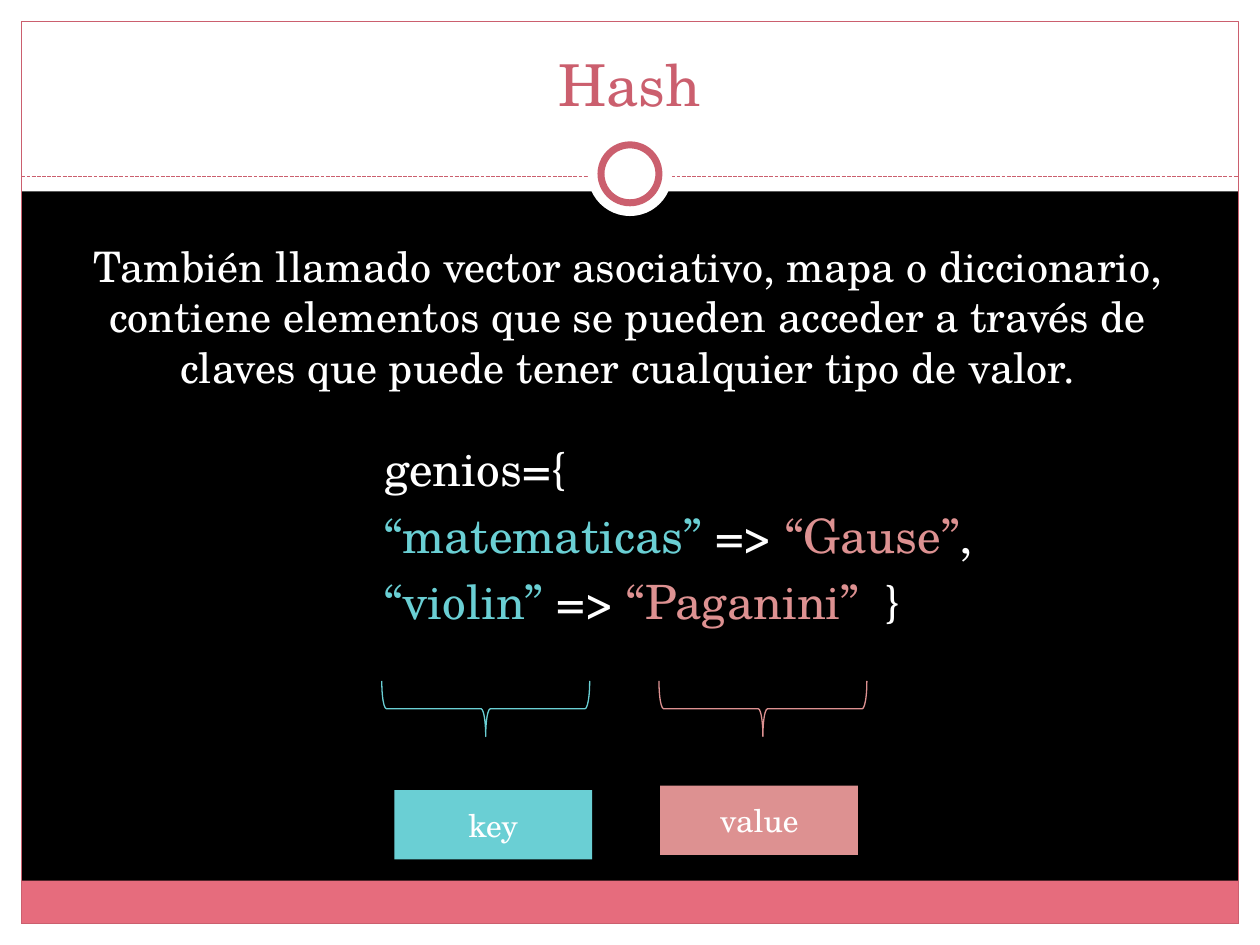
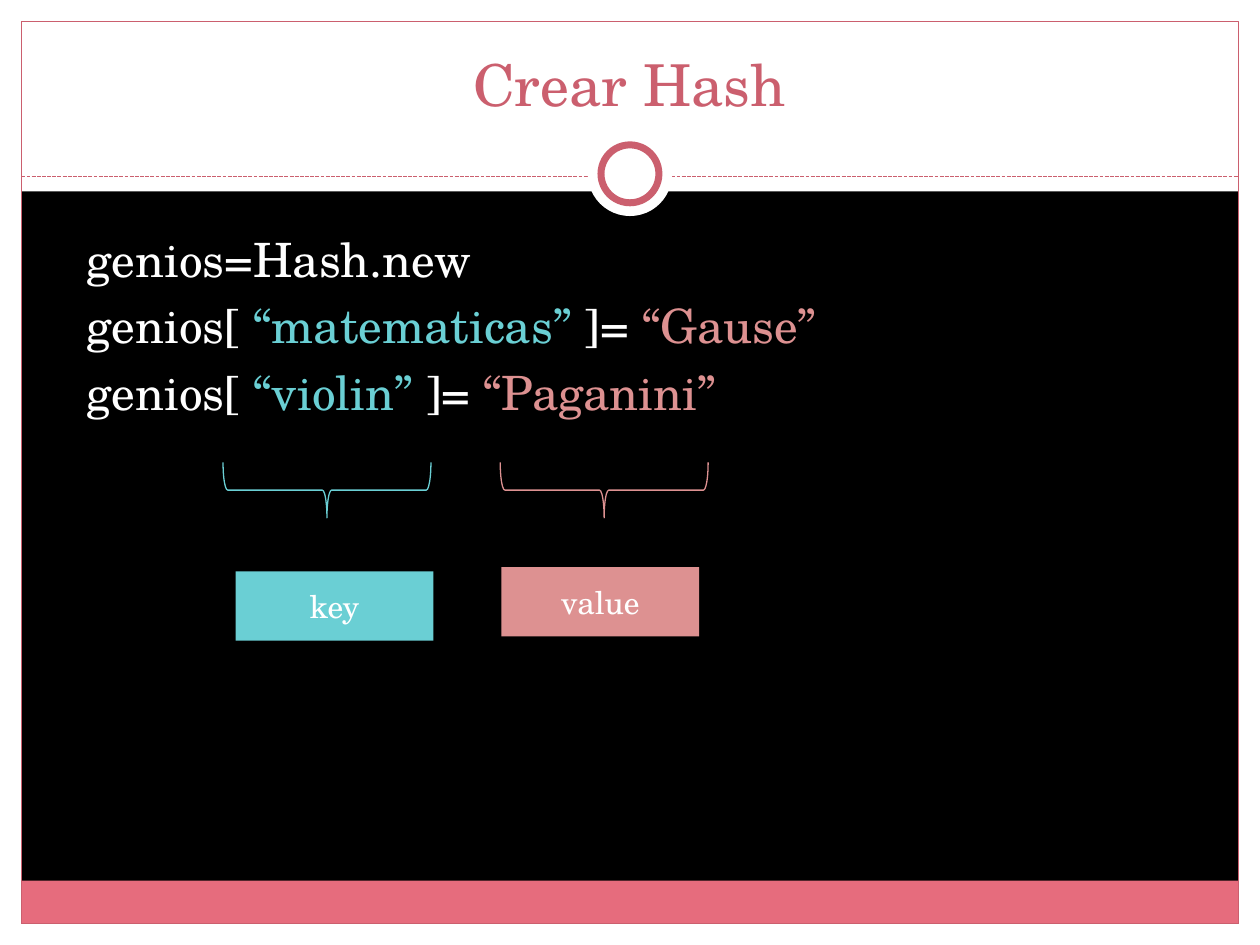
from lxml.etree import SubElement
from pptx import Presentation
from pptx.dml.color import RGBColor
from pptx.enum.dml import MSO_LINE
from pptx.enum.shapes import MSO_CONNECTOR, MSO_SHAPE
from pptx.enum.text import MSO_ANCHOR, PP_ALIGN
from pptx.oxml.ns import qn
from pptx.util import Inches, Pt

# The grid has 100 columns and 75 rows of a tenth of an inch
COLUMNS, ROWS = 100, 75
CELL = Inches(0.1)
MARGIN = 1.7
HEADER = 15.2
RULE_ROW = 14

FONT = "TeX Gyre Schola"
WHITE, BLACK = "FFFFFF", "000000"
ROSE, BAND = "CB5F6E", "E66C7D"
KEY, VALUE = "6ACFD4", "DD9191"


def colour(hex_string):
    return RGBColor.from_string(hex_string)


def grid(*cells):
    return [round(cell * CELL) for cell in cells]


class Deck:
    """Holds the shared style and the slide being built."""

    def __init__(self):
        self.presentation = Presentation()
        self.presentation.slide_width, self.presentation.slide_height = grid(COLUMNS, ROWS)
        self.slide = None

    def new_slide(self, title):
        self.slide = self.presentation.slides.add_slide(self.presentation.slide_layouts[6])
        background = self.slide.background.fill
        background.solid()
        background.fore_color.rgb = colour(BLACK)
        self.frame()
        self.text((3.3, 2.5, 93.3, 8.3), [[(title, ROSE)]], 33,
                  PP_ALIGN.CENTER, MSO_ANCHOR.MIDDLE)

    def frame(self):
        inner = COLUMNS - 2 * MARGIN
        bottom = ROWS - MARGIN
        # White borders and header
        for box in ((0, bottom, COLUMNS, MARGIN), (0, 0, COLUMNS, HEADER),
                    (0, 0, MARGIN, ROWS), (COLUMNS - MARGIN, 0, MARGIN, ROWS)):
            self.shape(MSO_SHAPE.RECTANGLE, box, fill=WHITE)
        # Footer band, outline and dashed rule
        self.shape(MSO_SHAPE.RECTANGLE, (MARGIN, bottom - 3.4, inner, 3.4), fill=BAND)
        self.shape(MSO_SHAPE.RECTANGLE, (MARGIN, MARGIN, inner, bottom - MARGIN), line=ROSE)
        self.dashed_rule(MARGIN, COLUMNS - MARGIN, RULE_ROW)
        # Ring over the rule
        for size, line in ((6.7, None), (4.6, ROSE)):
            box = ((COLUMNS - size) / 2, 13.8 - size / 2, size, size)
            self.shape(MSO_SHAPE.OVAL, box, fill=WHITE, line=line, width=4)

    def shape(self, kind, box, fill=None, line=None, width=0.75):
        shape = self.slide.shapes.add_shape(kind, *grid(*box))
        shape.shadow.inherit = False
        if fill:
            shape.fill.solid()
            shape.fill.fore_color.rgb = colour(fill)
        else:
            shape.fill.background()
        if line:
            shape.line.color.rgb = colour(line)
            shape.line.width = Pt(width)
        else:
            shape.line.fill.background()
        return shape

    def dashed_rule(self, left, right, row):
        rule = self.slide.shapes.add_connector(
            MSO_CONNECTOR.STRAIGHT, *grid(left, row, right, row))
        rule.line.color.rgb = colour(ROSE)
        rule.line.width = Pt(0.75)
        rule.line.dash_style = MSO_LINE.SQUARE_DOT
        SubElement(rule._element.spPr, qn("a:effectLst"))

    def fill_text(self, text_frame, lines, size, align, spacing=0.0):
        """Each line is a list of (text, colour) parts."""
        for number, parts in enumerate(lines):
            paragraph = text_frame.add_paragraph() if number else text_frame.paragraphs[0]
            paragraph.alignment = align
            paragraph.space_before = Pt(size * spacing)
            for text, part_colour in parts:
                run = paragraph.add_run()
                run.text = text
                run.font.name = FONT
                run.font.size = Pt(size)
                run.font.color.rgb = colour(part_colour)

    def text(self, box, lines, size, align=PP_ALIGN.LEFT, anchor=MSO_ANCHOR.TOP, spacing=0.0):
        text_frame = self.slide.shapes.add_textbox(*grid(*box)).text_frame
        text_frame.word_wrap = True
        text_frame.vertical_anchor = anchor
        self.fill_text(text_frame, lines, size, align, spacing)

    def label(self, box, text, fill):
        text_frame = self.shape(MSO_SHAPE.RECTANGLE, box, fill=fill).text_frame
        text_frame.vertical_anchor = MSO_ANCHOR.MIDDLE
        self.fill_text(text_frame, [[(text, WHITE)]], 18, PP_ALIGN.CENTER)

    def brace(self, left, top, line, span=16.5, depth=4.4):
        """A brace turned to point down; left and top are those after the turn."""
        shift = (span - depth) / 2
        brace = self.shape(MSO_SHAPE.LEFT_BRACE, (left + shift, top - shift, depth, span),
                           line=line)
        brace.rotation = 270

    def key_and_value(self, left, top):
        self.brace(left, top, KEY)
        self.brace(left + 22, top, VALUE)
        self.label((left + 1, top + 8.65, 15.7, 5.5), "key", KEY)
        self.label((left + 22.1, top + 8.3, 15.7, 5.5), "value", VALUE)


def main():
    deck = Deck()

    # What a hash is
    deck.new_slide("Hash")
    definition = ("También llamado vector asociativo, mapa o diccionario, contiene elementos "
                  "que se pueden acceder a través de claves que puede tener cualquier tipo "
                  "de valor.")
    deck.text((3.3, 18.6, 93, 57.5), [[(definition, WHITE)]], 24,
              PP_ALIGN.CENTER, spacing=0.2)
    deck.text((29.5, 34.4, 93, 50), [
        [("genios={", WHITE)],
        [("“matematicas” ", KEY), ("=> ", WHITE), ("“Gause”", VALUE), (",", WHITE)],
        [("“violin” ", KEY), ("=> ", WHITE), ("“Paganini”  ", VALUE), ("}", WHITE)],
    ], 27, spacing=0.2)
    deck.key_and_value(30.3, 54.05)

    # How to create one
    deck.new_slide("Crear Hash")
    pairs = (("“matematicas” ", "“Gause”"), ("“violin” ", "“Paganini”"))
    assignments = [[("genios[ ", WHITE), (key, KEY), ("]= ", WHITE), (value, VALUE)]
                   for key, value in pairs]
    deck.text((5.9, 17.8, 93, 50), [[("genios=Hash.new", WHITE)]] + assignments,
              27, spacing=0.2)
    deck.key_and_value(17.7, 36.7)

    deck.presentation.save("out.pptx")


if __name__ == "__main__":
    main()
